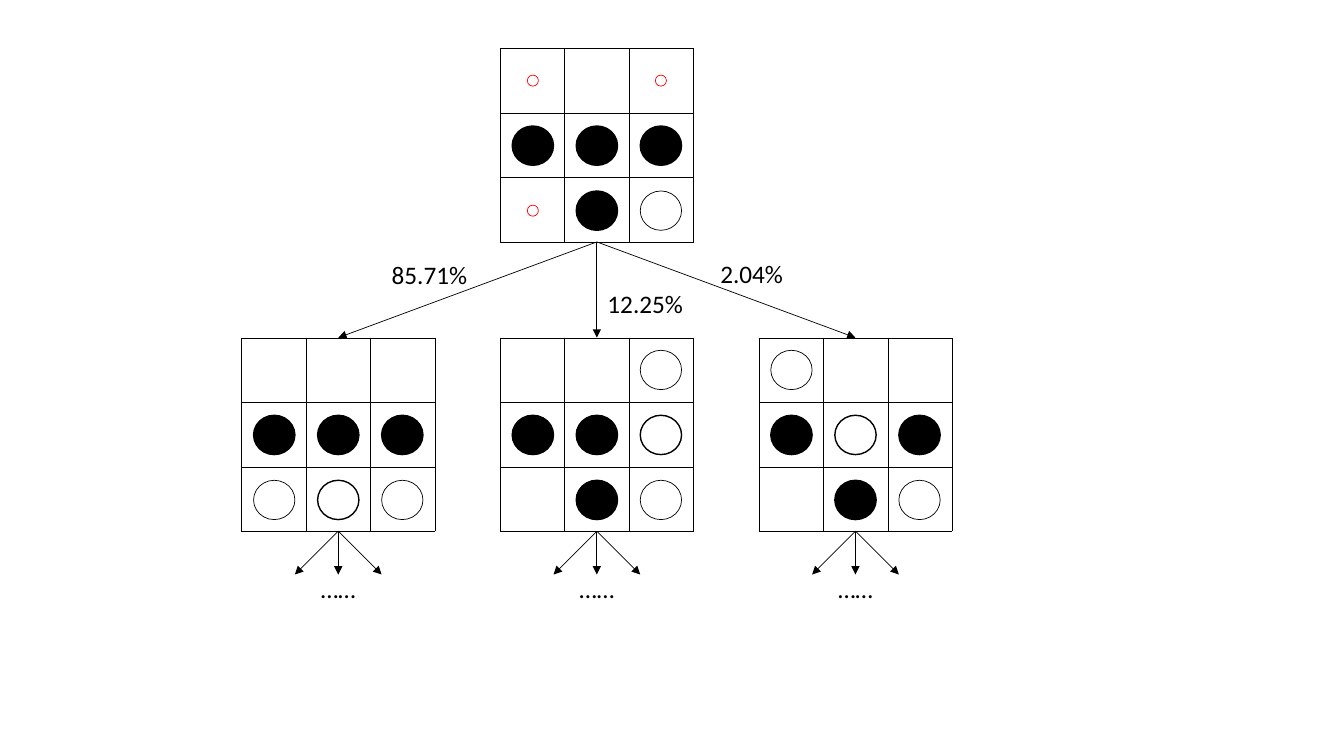
from pptx import Presentation
from pptx.dml.color import RGBColor
from pptx.enum.shapes import MSO_CONNECTOR, MSO_SHAPE
from pptx.enum.text import MSO_ANCHOR, PP_ALIGN
from pptx.oxml.ns import qn
from pptx.util import Inches, Pt
from lxml import etree

STRAIGHT = MSO_CONNECTOR.STRAIGHT
OVAL = MSO_SHAPE.OVAL
CENTER, MIDDLE = PP_ALIGN.CENTER, MSO_ANCHOR.MIDDLE

BLACK, WHITE, RED = "000000", "FFFFFF", "FF0000"
CELL, BOARD = 0.64, 1.92
ROOT_X, ROOT_TOP = 5.92, 0.48
CHILD_TOP, CHILD_STEP = 3.35, 2.565

# Marks: width, height, fill, line colour, line width
MARKS = {
    "B": (0.41, 0.39, BLACK, BLACK, 1),      # black disc
    "W": (0.41, 0.39, WHITE, BLACK, 0.5),    # white disc
    "F": (0.41, 0.39, WHITE, BLACK, 1),      # flipped disc
    "o": (0.11, 0.11, WHITE, RED, 0.5),      # possible move
}

# Boards: centre, top, rows of marks
boards = [
    (ROOT_X, ROOT_TOP, ("o.o", "BBB", "oBW")),
    (ROOT_X - CHILD_STEP, CHILD_TOP, ("...", "BBB", "WFW")),
    (ROOT_X, CHILD_TOP, ("..W", "BBF", ".BW")),
    (ROOT_X + CHILD_STEP, CHILD_TOP, ("W..", "BFB", ".BW")),
]

deck = Presentation()
deck.slide_width, deck.slide_height = Inches(13.33), Inches(7.5)
page = deck.slides.add_slide(deck.slide_layouts[6])


def rgb(value):
    return RGBColor.from_string(value)


# Boards and their discs
for center, top, rows in boards:
    frame = page.shapes.add_table(3, 3, Inches(center - BOARD / 2), Inches(top),
                                  Inches(BOARD), Inches(BOARD))
    table = frame.table
    table.first_row = table.horz_banding = False
    for index in range(3):
        table.columns[index].width = table.rows[index].height = Inches(CELL)
    for cell in table.iter_cells():
        props = cell._tc.get_or_add_tcPr()
        for side in ("a:lnL", "a:lnR", "a:lnT", "a:lnB"):
            border = etree.SubElement(props, qn(side), w=str(Pt(0.25)))
            solid = etree.SubElement(border, qn("a:solidFill"))
            etree.SubElement(solid, qn("a:srgbClr"), val=BLACK)
        cell.fill.background()

    for row, marks in enumerate(rows):
        for column, mark in enumerate(marks):
            if mark == ".":
                continue
            width, height, fill, line, weight = MARKS[mark]
            x = center + (column - 1) * 0.635
            y = top + 0.32 + row * 0.645
            disc = page.shapes.add_shape(OVAL, Inches(x - width / 2), Inches(y - height / 2),
                                         Inches(width), Inches(height))
            disc.shadow.inherit = False
            disc.fill.solid()
            disc.fill.fore_color.rgb = rgb(fill)
            disc.line.color.rgb = rgb(line)
            disc.line.width = Pt(weight)

# Arrows: a fan of three below every board
for center, top, rows in boards:
    start = top + BOARD
    spread, drop = (CHILD_STEP, CHILD_TOP - start) if top == ROOT_TOP else (0.43, 0.43)
    for side in (-1, 0, 1):
        arrow = page.shapes.add_connector(STRAIGHT, Inches(center), Inches(start),
                                          Inches(center + side * spread), Inches(start + drop))
        arrow.line.color.rgb = rgb(BLACK)
        arrow.line.width = Pt(0.5)
        props = arrow._element.spPr
        etree.SubElement(props.find(qn("a:ln")), qn("a:tailEnd"), type="triangle")
        etree.SubElement(props, qn("a:effectLst"))

# Probabilities and continuation dots
labels = [
    ("85.71%", 3.78, 2.52, 0.96),
    ("12.25%", 5.92, 2.81, 0.96),
    ("2.04%", 7.04, 2.51, 0.83),
]
labels += [("……", center - 0.275, 5.64, 0.55) for center, top, rows in boards[1:]]
for text, left, top, width in labels:
    box = page.shapes.add_textbox(Inches(left), Inches(top), Inches(width), Inches(0.4))
    box.text_frame.word_wrap = False
    box.text_frame.vertical_anchor = MIDDLE
    para = box.text_frame.paragraphs[0]
    para.text = text
    para.alignment = CENTER
    para.font.name = "Calibri"
    para.font.size = Pt(18)
    para.font.color.rgb = rgb(BLACK)

deck.save("out.pptx")
